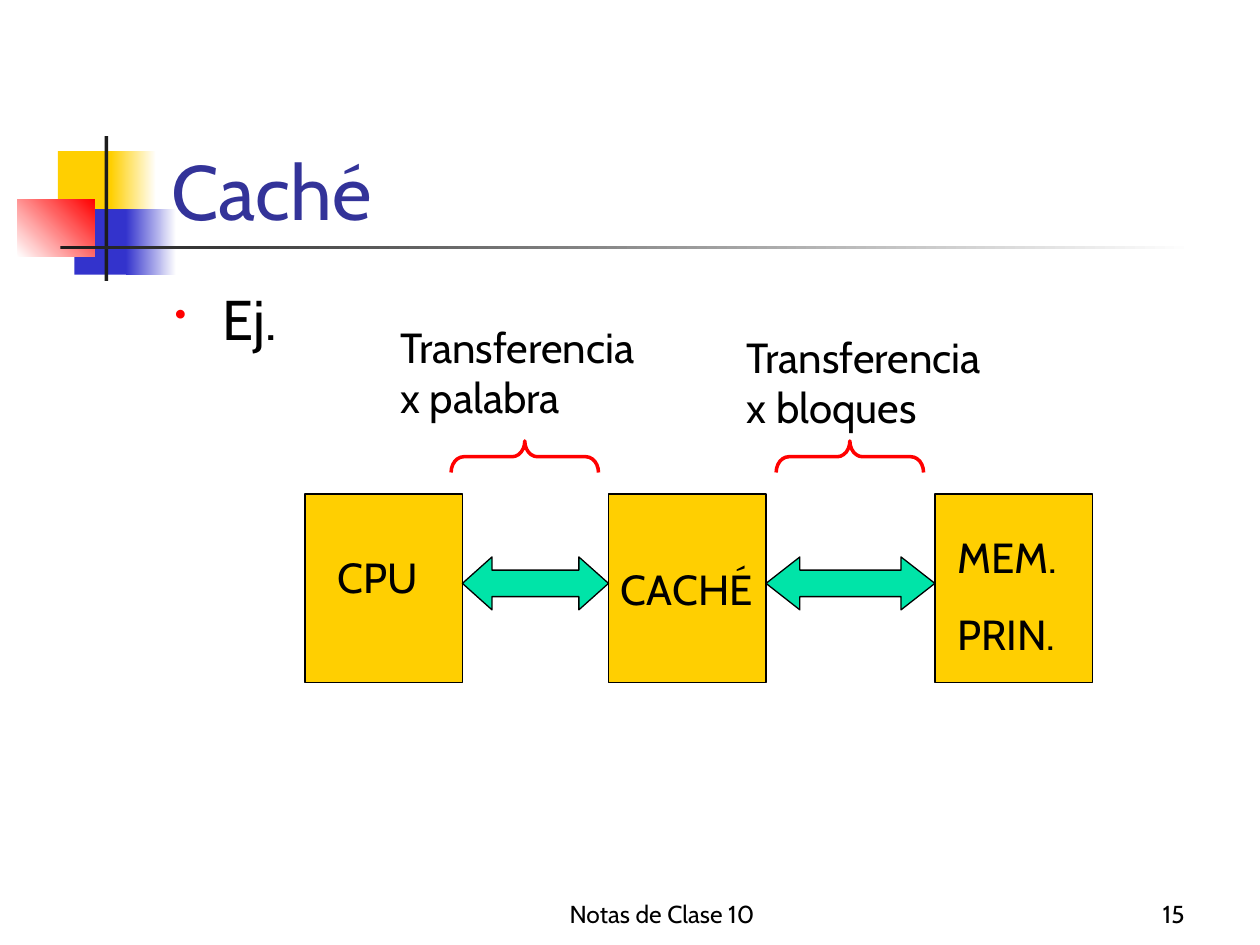
"""Build the slide on how the cache sits between the CPU and main memory."""
from lxml.etree import SubElement
from pptx import Presentation
from pptx.dml.color import RGBColor
from pptx.enum.shapes import MSO_SHAPE
from pptx.enum.text import MSO_ANCHOR, PP_ALIGN
from pptx.oxml.ns import qn
from pptx.util import Inches, Pt


def color(hex_value):
    return RGBColor.from_string(hex_value)


def add_text(box, lines, size, ink="000000", anchor=MSO_ANCHOR.TOP, align=PP_ALIGN.LEFT):
    frame = slide.shapes.add_textbox(*map(Inches, box)).text_frame
    for name, value in {"word_wrap": True, "vertical_anchor": anchor}.items():
        setattr(frame, name, value)
    frame.text = "\n".join(lines)
    for index, paragraph in enumerate(frame.paragraphs):
        paragraph.alignment = align
        if index:
            paragraph.space_before = Pt(15)
        for run in paragraph.runs:
            for name, value in {"name": "Cabin", "size": Pt(size)}.items():
                setattr(run.font, name, value)
            run.font.color.rgb = color(ink)
    return frame


presentation = Presentation()
for name, value in {"slide_width": Inches(10), "slide_height": Inches(7.5)}.items():
    setattr(presentation, name, value)
slide = presentation.slides.add_slide(presentation.slide_layouts[6])

ornaments = [
    ((0.46, 1.2, 0.48, 0.52), ["FFCF01"], 0),
    ((0.88, 1.2, 0.36, 0.52), ["FFCF01", "FFFFFF"], 0),
    ((0.59, 1.66, 0.46, 0.52), ["3333CC"], 0),
    ((1, 1.66, 0.4, 0.52), ["3333CC", "FFFFFF"], 0),
    ((0.14, 1.58, 0.61, 0.46), ["FFFFFF", "FF0000"], 45),
    ((0.83, 1.08, 0.03, 1.15), ["1C1C1C"], 0),
    ((0.48, 1.95, 9, 0.03), ["1C1C1C", "FFFFFF"], 0),
]
for box, shades, angle in ornaments:
    ornament = slide.shapes.add_shape(MSO_SHAPE.RECTANGLE, *map(Inches, box))
    ornament.shadow.inherit = False
    ornament.line.fill.background()
    if len(shades) == 1:
        ornament.fill.solid()
        ornament.fill.fore_color.rgb = color(shades[0])
    else:
        ornament.fill.gradient()
        ornament.fill.gradient_angle = angle
        for stop, shade in zip(ornament.fill.gradient_stops, shades):
            stop.color.rgb = color(shade)

add_text((3.67, 6.92, 3.17, 0.5), ["Notas de Clase 10"], 14,
         anchor=MSO_ANCHOR.BOTTOM, align=PP_ALIGN.CENTER)
add_text((7.42, 6.92, 2.08, 0.5), ["15"], 14,
         anchor=MSO_ANCHOR.BOTTOM, align=PP_ALIGN.RIGHT)
add_text((1.26, 0.67, 8.52, 1.25), ["Caché"], 44, "333399", MSO_ANCHOR.BOTTOM)

example = add_text((1.29, 2.21, 8.5, 4.5), ["Ej."], 32)
indent = example.paragraphs[0]._p.get_or_add_pPr()
for name, value in {"marL": Inches(0.38), "indent": -Inches(0.38)}.items():
    indent.set(name, str(value))
SubElement(SubElement(indent, qn("a:buClr")), qn("a:srgbClr")).set("val", "FF0000")
SubElement(indent, qn("a:buSzPct")).set("val", "60000")
SubElement(indent, qn("a:buChar")).set("char", "•")

unit_lefts = [2.42, 4.83, 7.42]
unit_width = 1.25
diagram = [
    (MSO_SHAPE.RECTANGLE, (left, 3.92, unit_width, 1.5), "FFCF01", [])
    for left in unit_lefts
]
for left, following, head in zip(unit_lefts, unit_lefts[1:], [0.56, 0.64]):
    start = left + unit_width
    diagram.append((MSO_SHAPE.LEFT_RIGHT_ARROW, (start, 4.42, following - start, 0.42),
                    "00E4A8", [0.5, head]))
for left in [4.04, 6.62]:
    diagram.append((MSO_SHAPE.LEFT_BRACE, (left, 3.04, 0.25, 1.17), None, [0.4, 0.5]))

for kind, box, shade, adjustments in diagram:
    part = slide.shapes.add_shape(kind, *map(Inches, box))
    part.shadow.inherit = False
    for index, value in enumerate(adjustments):
        part.adjustments[index] = value
    if shade:
        part.fill.solid()
        part.fill.fore_color.rgb = color(shade)
    else:
        part.fill.background()
        part.rotation = 90
    part.line.color.rgb = color("000000" if shade else "FF0000")
    part.line.width = Pt(0.75 if shade else 2)

labels = [
    ((2.58, 4.33, 0.92, 0.5), ["CPU"]),
    ((4.83, 4.42, 1.25, 0.9), ["CACHÉ"]),
    ((7.5, 4.17, 1.67, 1.06), ["MEM.", "PRIN."]),
    ((3.08, 2.5, 2.25, 0.9), ["Transferencia x palabra"]),
    ((5.83, 2.58, 2.25, 0.9), ["Transferencia x bloques"]),
]
for box, lines in labels:
    add_text(box, lines, 24)

presentation.save("out.pptx")
